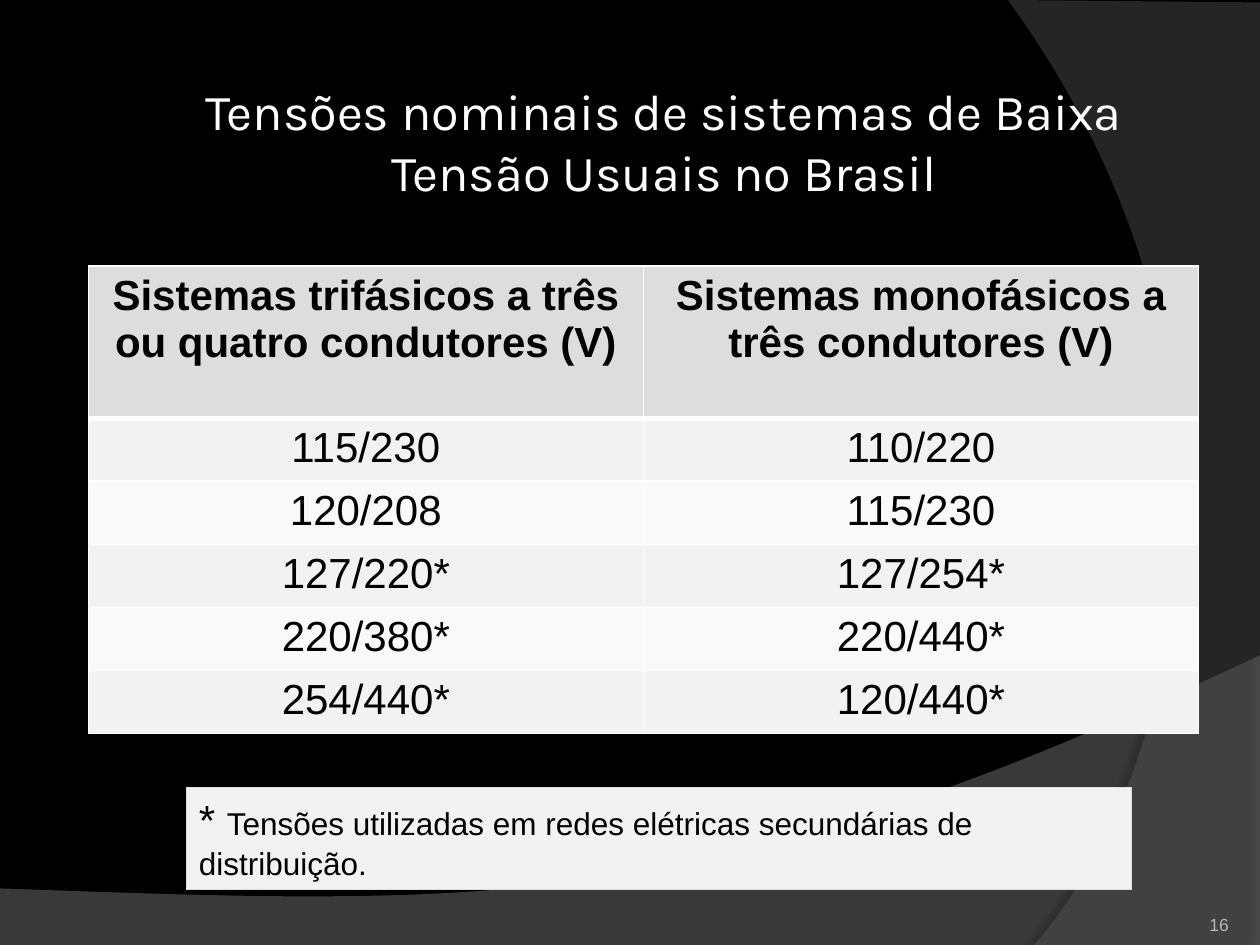
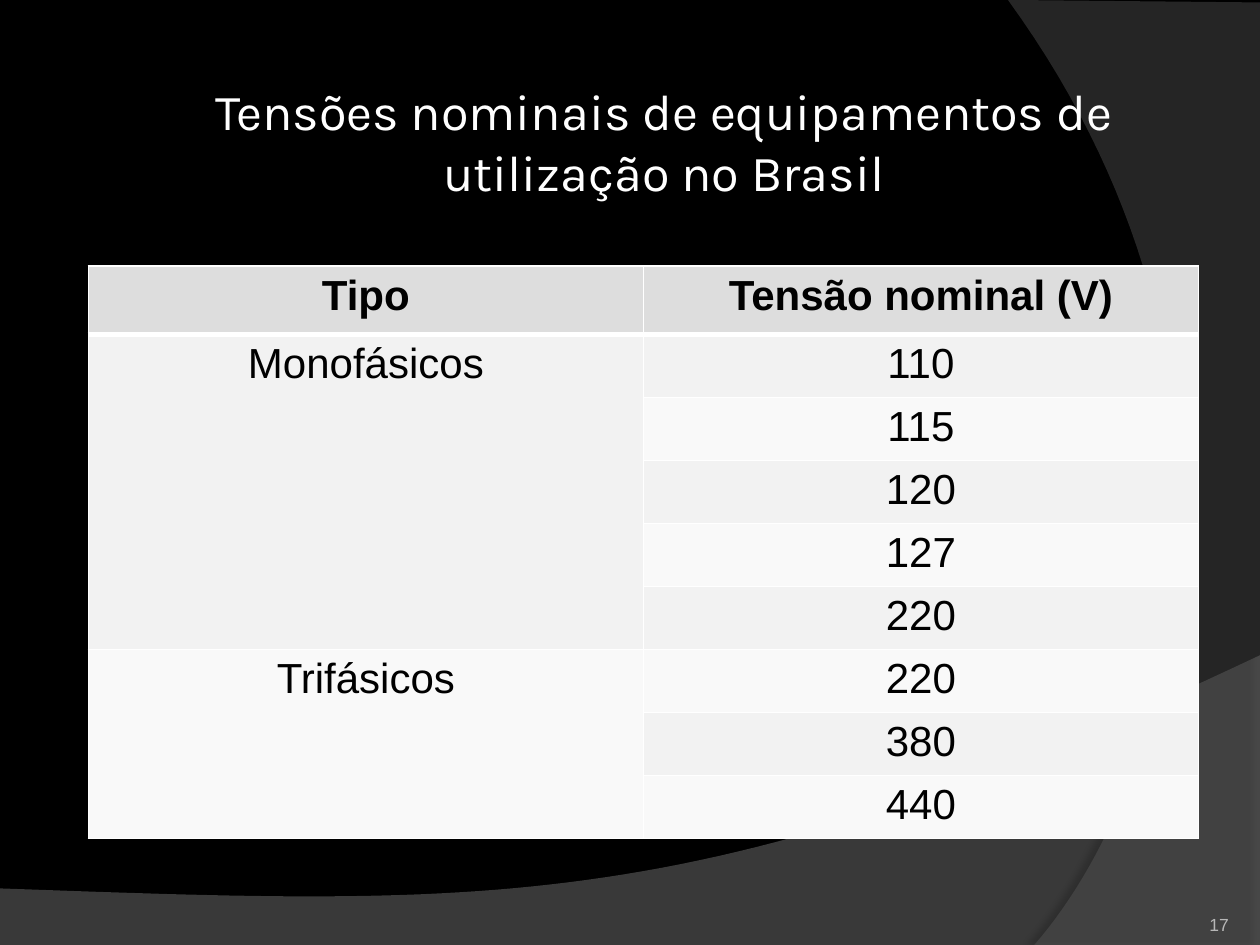
import lxml.etree
import pptx
import pptx.dml.color
import pptx.enum.shapes
import pptx.enum.text
import pptx.oxml.ns
import pptx.util

Cm = pptx.util.Cm
Pt = pptx.util.Pt
RGBColor = pptx.dml.color.RGBColor
ALIGN = pptx.enum.text.PP_ALIGN
ANCHOR = pptx.enum.text.MSO_ANCHOR
qn = pptx.oxml.ns.qn

BLACK = RGBColor(0x00, 0x00, 0x00)
WHITE = RGBColor(0xFF, 0xFF, 0xFF)
BAND_GREY = RGBColor(0x7F, 0x7F, 0x7F)
SIDE_GREY = RGBColor(0x5E, 0x5E, 0x5E)
HEADER_GREY = RGBColor(0xDD, 0xDD, 0xDD)
ODD_ROW = RGBColor(0xF2, 0xF2, 0xF2)
EVEN_ROW = RGBColor(0xF9, 0xF9, 0xF9)
NUMBER_GREY = RGBColor(0xB7, 0xB7, 0xB7)

TITLE_FONT = {"name": "Karla", "size": Pt(28.8)}
HEADER_FONT = {"name": "Arial", "size": Pt(24), "bold": True}
BODY_FONT = {"name": "Arial", "size": Pt(24), "bold": False}
NOTE_FONT = {"name": "Arial", "size": Pt(18)}
NUMBER_FONT = {"name": "Arial", "size": Pt(10)}

ROW_HEIGHT = 1.2
COLUMN_WIDTH = 11.19


def set_values(target, values):
    for name, value in values.items():
        setattr(target, name, value)


def add_span(para, text, font, color):
    span = para.add_run()
    span.text = text
    set_values(span.font, font)
    span.font.color.rgb = color


def add_text(page, place, text, font, color, align, anchor, margin):
    box = page.shapes.add_textbox(*map(Cm, place))
    frame = box.text_frame
    set_values(frame, {
        "word_wrap": True, "vertical_anchor": anchor,
        "margin_left": margin, "margin_right": margin,
        "margin_top": margin, "margin_bottom": margin,
    })
    para = frame.paragraphs[0]
    para.alignment = align
    add_span(para, text, font, color)


def curve(start, first, second, end, steps=60):
    points = []
    for step in range(1, steps + 1):
        t = step / steps
        weights = ((1 - t) ** 3, 3 * t * (1 - t) ** 2, 3 * t * t * (1 - t), t ** 3)
        controls = (start, first, second, end)
        points.append(tuple(sum(w * c[axis] for w, c in zip(weights, controls))
                            for axis in (0, 1)))
    return points


def add_swoosh(page, corners, bend, color, opacity, shadow):
    points = corners + curve(corners[-1], *bend)
    points = [(Cm(x), Cm(y)) for x, y in points]
    builder = page.shapes.build_freeform(*points[0])
    builder.add_line_segments(points[1:], close=True)
    swoosh = builder.convert_to_shape()
    swoosh.fill.solid()
    swoosh.fill.fore_color.rgb = color
    swoosh.line.fill.background()
    swoosh.shadow.inherit = False
    properties = swoosh.element.spPr
    tint = properties.find(".//" + qn("a:srgbClr"))
    lxml.etree.SubElement(tint, qn("a:alpha"), val=str(opacity * 1000))
    shadow_opacity, blur, distance, angle = shadow
    outer = lxml.etree.SubElement(
        properties.find(qn("a:effectLst")), qn("a:outerShdw"),
        blurRad=str(Pt(blur)), dist=str(Pt(distance)), dir=str(angle * 60000),
        algn="ctr", rotWithShape="0")
    shade = lxml.etree.SubElement(outer, qn("a:srgbClr"), val=str(BLACK))
    lxml.etree.SubElement(shade, qn("a:alpha"), val=str(shadow_opacity * 1000))


def add_borders(cell, top, bottom):
    properties = cell._tc.get_or_add_tcPr()
    widths = {"a:lnL": 1, "a:lnR": 1, "a:lnT": top, "a:lnB": bottom}
    for position, (side, width) in enumerate(widths.items()):
        line = lxml.etree.Element(qn(side), w=str(Pt(width)))
        fill = lxml.etree.SubElement(line, qn("a:solidFill"))
        lxml.etree.SubElement(fill, qn("a:srgbClr"), val=str(WHITE))
        properties.insert(position, line)


def add_voltage_table(page, rows, header_height, merges=()):
    height = header_height + ROW_HEIGHT * (len(rows) - 1)
    table = page.shapes.add_table(len(rows), 2, Cm(1.78), Cm(5.36),
                                  Cm(2 * COLUMN_WIDTH), Cm(height)).table
    set_values(table, {"first_row": False, "horz_banding": False})
    for column in table.columns:
        column.width = Cm(COLUMN_WIDTH)
    for index, texts in enumerate(rows):
        header = index == 0
        table.rows[index].height = Cm(header_height if header else ROW_HEIGHT)
        color = HEADER_GREY if header else (ODD_ROW if index % 2 else EVEN_ROW)
        for column, text in enumerate(texts):
            cell = table.cell(index, column)
            cell.fill.solid()
            cell.fill.fore_color.rgb = color
            add_borders(cell, 3 if index == 1 else 1, 3 if header else 1)
            if text:
                para = cell.text_frame.paragraphs[0]
                para.alignment = ALIGN.CENTER
                add_span(para, text, HEADER_FONT if header else BODY_FONT, BLACK)
    for first, last in merges:
        table.cell(first, 0).merge(table.cell(last, 0))


def add_footnote(page, text):
    box = page.shapes.add_shape(pptx.enum.shapes.MSO_SHAPE.RECTANGLE,
                                Cm(3.76), Cm(15.88), Cm(19.05), Cm(2.06))
    box.shadow.inherit = False
    box.fill.solid()
    box.fill.fore_color.rgb = ODD_ROW
    box.line.color.rgb = HEADER_GREY
    box.line.width = Pt(0.75)
    set_values(box.text_frame, {
        "word_wrap": True, "vertical_anchor": ANCHOR.TOP,
        "auto_size": pptx.enum.text.MSO_AUTO_SIZE.SHAPE_TO_FIT_TEXT,
    })
    para = box.text_frame.paragraphs[0]
    para.alignment = ALIGN.LEFT
    add_span(para, "* ", BODY_FONT, BLACK)
    add_span(para, text, NOTE_FONT, BLACK)


def add_page(deck, title, number):
    page = deck.slides.add_slide(deck.slide_layouts[6])
    page.background.fill.solid()
    page.background.fill.fore_color.rgb = BLACK
    add_swoosh(page, [(0, 17.91), (0, 19.05), (25.4, 19.05), (25.4, 13.21)],
               [(14.2, 18.52), (9.93, 18.26), (0, 17.91)],
               BAND_GREY, 45, (35, 4, 3.5, 270))
    add_swoosh(page, [(25.4, 0.05), (25.4, 19.05), (20.85, 19.05)],
               [(23.75, 15.72), (25.86, 7.62), (20.32, 0)],
               SIDE_GREY, 40, (45, 4, 4, 180))
    add_text(page, (2.59, 1.57, 21.59, 2.54), title, TITLE_FONT, WHITE,
             ALIGN.CENTER, ANCHOR.MIDDLE, Cm(0.13))
    add_text(page, (22.66, 17.83, 2.11, 1.02), str(number), NUMBER_FONT,
             NUMBER_GREY, ALIGN.RIGHT, ANCHOR.BOTTOM, Cm(0))
    return page


def main():
    deck = pptx.Presentation()
    deck.slide_width, deck.slide_height = Cm(25.4), Cm(19.05)

    systems = add_page(
        deck, "Tensões nominais de sistemas de Baixa Tensão Usuais no Brasil", 16)
    add_voltage_table(systems, [
        ("Sistemas trifásicos a três ou quatro condutores (V)",
         "Sistemas monofásicos a três condutores (V)"),
        ("115/230", "110/220"),
        ("120/208", "115/230"),
        ("127/220*", "127/254*"),
        ("220/380*", "220/440*"),
        ("254/440*", "120/440*"),
    ], 3.07)
    add_footnote(
        systems, "Tensões utilizadas em redes elétricas secundárias de distribuição.")

    equipment = add_page(
        deck, "Tensões nominais de equipamentos de utilização no Brasil", 17)
    add_voltage_table(equipment, [
        ("Tipo", "Tensão nominal (V)"),
        ("Monofásicos", "110"),
        ("", "115"),
        ("", "120"),
        ("", "127"),
        ("", "220"),
        ("Trifásicos", "220"),
        ("", "380"),
        ("", "440"),
    ], 1.38, [(1, 5), (6, 8)])

    deck.save("out.pptx")


if __name__ == "__main__":
    main()
